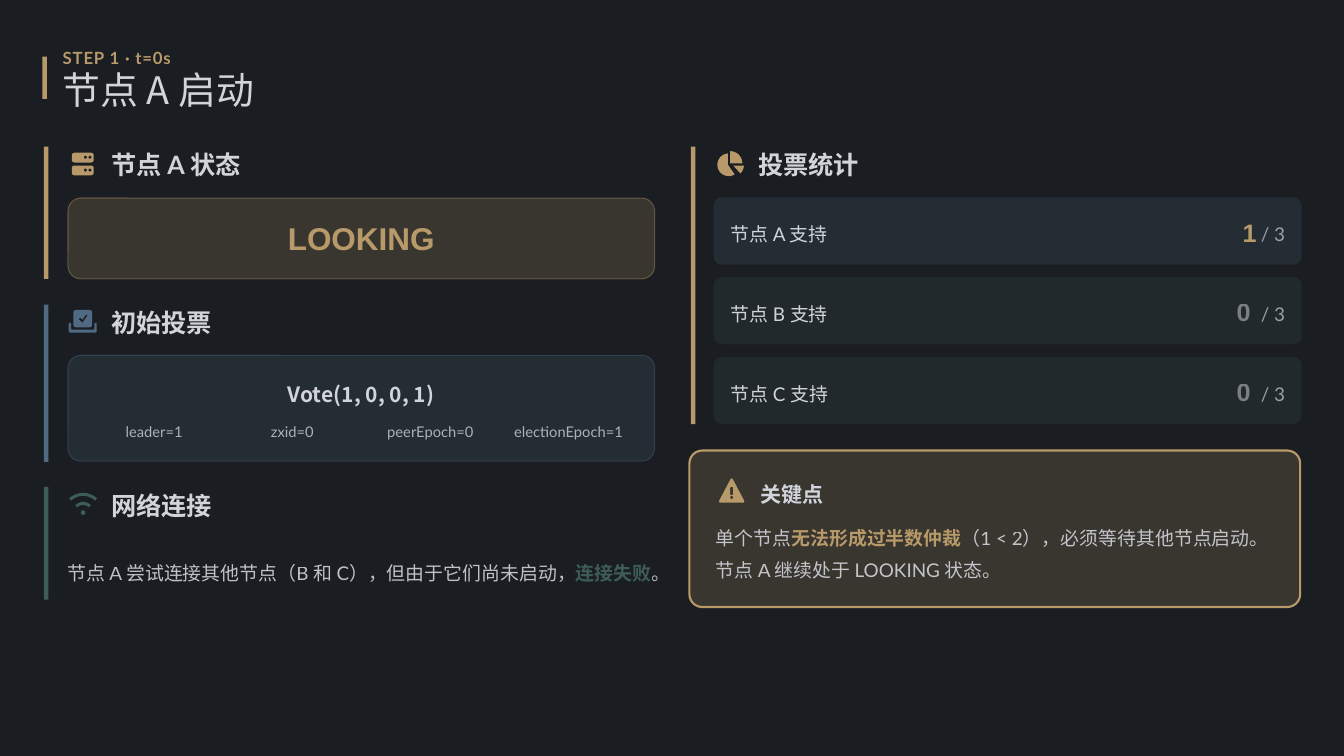
"""Build the slide on the start-up of node A in a leader election."""
from dataclasses import dataclass
from math import cos, dist, radians, sin

from lxml.etree import SubElement
from pptx import Presentation
from pptx.dml.color import RGBColor
from pptx.enum.shapes import MSO_SHAPE as Shape
from pptx.enum.text import MSO_ANCHOR as Anchor, PP_ALIGN as Align
from pptx.oxml.ns import qn
from pptx.slide import Slide
from pptx.util import Inches, Pt

DARK = RGBColor(0x1A, 0x1D, 0x21)
LIGHT = RGBColor(0xD1, 0xD5, 0xDB)
GOLD = RGBColor(0xB8, 0x9A, 0x6A)
BLUE = RGBColor(0x4F, 0x6A, 0x82)
GREEN = RGBColor(0x3E, 0x5C, 0x5A)


def fade(properties, percent):
    if percent < 100:
        color = properties.find(qn("a:solidFill"))[0]
        SubElement(color, qn("a:alpha")).set("val", str(percent * 1000))


def arc(x, y, radius, start, end, steps=24):
    angles = [radians(start + (end - start) * i / steps) for i in range(steps + 1)]
    return [(x + radius * cos(a), y + radius * sin(a)) for a in angles]


def circle(x, y, radius):
    return arc(x, y, radius, 0, 360)


def band(x, y, outer, inner, start, end):
    return arc(x, y, outer, start, end) + arc(x, y, inner, end, start)


def toward(origin, target, length):
    share = min(0.5, length / dist(origin, target))
    return [o + share * (t - o) for o, t in zip(origin, target)]


def rounded(corners, radius):
    outline = []
    for i, corner in enumerate(corners):
        before = toward(corner, corners[i - 1], radius)
        after = toward(corner, corners[(i + 1) % len(corners)], radius)
        for t in (0, 0.25, 0.5, 0.75, 1):
            outline.append(tuple((1 - t) ** 2 * b + 2 * t * (1 - t) * c + t ** 2 * a
                                 for b, c, a in zip(before, corner, after)))
    return outline


def box(left, top, width, height, radius):
    right, bottom = left + width, top + height
    return rounded([(left, top), (right, top), (right, bottom), (left, bottom)], radius)


SERVER = [outline for top in (2.02, 2.19) for outline in (
    box(0.95, top, 0.29, 0.13, 0.04),
    circle(1.13, top + 0.06, 0.02), circle(1.19, top + 0.06, 0.02))]
BALLOT = [
    box(0.97, 4.1, 0.25, 0.23, 0.04),
    [(1.04, 4.22), (1.06, 4.2), (1.09, 4.23), (1.14, 4.16), (1.16, 4.17), (1.09, 4.27)],
    rounded([(0.91, 4.27), (0.94, 4.27), (0.94, 4.36), (1.25, 4.36),
             (1.25, 4.27), (1.28, 4.27), (1.28, 4.4), (0.91, 4.4)], 0.02)]
WIFI = [band(1.1, 6.79, 0.27, 0.23, 227, 313), band(1.1, 6.79, 0.15, 0.11, 226, 314),
        circle(1.1, 6.78, 0.03)]
PIE = [[(9.66, 2.16)] + arc(9.66, 2.16, 0.16, -90, 0),
       arc(9.64, 2.18, 0.15, 58, 263) + [(9.63, 2.03), (9.63, 2.18)],
       [(9.7, 2.19)] + arc(9.7, 2.19, 0.14, 0, 48)]
WARNING = [rounded([(9.68, 6.31), (9.86, 6.65), (9.5, 6.65)], 0.04),
           box(9.66, 6.44, 0.04, 0.11, 0.02), circle(9.68, 6.58, 0.02)]


@dataclass
class Deck:
    slide: Slide
    latin: str = "Lato"
    east_asian: str = "Noto Sans CJK SC"
    numeric: str = "Arial"

    def paint(self, shape, color, opacity=100):
        shape.shadow.inherit = False
        shape.fill.solid()
        shape.fill.fore_color.rgb = color
        fade(shape._element.spPr, opacity)
        shape.line.fill.background()

    def bar(self, left, top, height, color):
        strip = self.slide.shapes.add_shape(
            Shape.RECTANGLE, Inches(left), Inches(top), Inches(0.06), Inches(height))
        self.paint(strip, color)

    def card(self, left, top, width, height, color, radius=0.17, border=0, border_opacity=100):
        panel = self.slide.shapes.add_shape(
            Shape.ROUNDED_RECTANGLE, Inches(left), Inches(top), Inches(width), Inches(height))
        panel.adjustments[0] = radius / height
        self.paint(panel, color, 20)
        if border:
            panel.line.color.rgb = color
            panel.line.width = Pt(border)
            fade(panel.line._ln, border_opacity)

    def icon(self, outlines, color):
        builder = None
        for outline in outlines:
            start, *rest = [(Inches(x), Inches(y)) for x, y in outline]
            if builder is None:
                builder = self.slide.shapes.build_freeform(*start, scale=1)
            else:
                builder.move_to(*start)
            builder.add_line_segments(rest, close=True)
        self.paint(builder.convert_to_shape(), color)

    def text(self, left, top, width, height, content, size, color=LIGHT, opacity=100, bold=False,
             font=None, spacing=1.0, align=Align.LEFT, tracking=0, accent=None):
        frame = self.slide.shapes.add_textbox(
            Inches(left), Inches(top), Inches(width), Inches(height)).text_frame
        frame.word_wrap = True
        frame.vertical_anchor = Anchor.MIDDLE
        frame.margin_left = frame.margin_right = frame.margin_top = frame.margin_bottom = 0
        paragraph = frame.paragraphs[0]
        paragraph.alignment = align
        paragraph.line_spacing = spacing
        style = paragraph.font
        style.name, style.size, style.bold = font or self.latin, Pt(size), bold
        style.color.rgb = color
        fade(style._rPr, opacity)
        SubElement(style._rPr, qn("a:ea")).set("typeface", self.east_asian)
        if tracking:
            style._rPr.set("spc", str(int(tracking * 100)))
        for i, part in enumerate([content] if isinstance(content, str) else content):
            run = paragraph.add_run()
            run.text = part
            if i == 1:
                run.font.bold = True
                run.font.color.rgb = accent

    def section(self, left, top, height, color, title, outlines):
        self.bar(left, top, height, color)
        self.icon(outlines, color)
        self.text(left + 0.89, top, 1.92, 0.44, title, 24, bold=True, spacing=1.1)

    def tally(self, top, node, votes, card_color, vote_left, vote_color, vote_opacity):
        self.card(9.44, top, 7.78, 0.89, card_color, radius=0.11)
        self.text(9.67, top + 0.25, 1.44, 0.39, f"节点 {node} 支持", 18, spacing=1.3)
        self.text(vote_left, top + 0.22, 0.38, 0.44, votes, 24, vote_color, vote_opacity,
                  bold=True, font=self.numeric, spacing=1.1)
        self.text(16.68, top + 0.25, 0.44, 0.39, "/ 3", 18, opacity=70, spacing=1.3)


def main():
    presentation = Presentation()
    presentation.slide_width, presentation.slide_height = Inches(17.78), Inches(10)
    deck = Deck(presentation.slides.add_slide(presentation.slide_layouts[6]))
    backdrop = deck.slide.background.fill
    backdrop.solid()
    backdrop.fore_color.rgb = DARK

    deck.bar(0.56, 0.75, 0.56, GOLD)
    deck.text(0.83, 0.56, 2.74, 0.33, "STEP 1 · t=0s", 16, GOLD, bold=True, spacing=1.3, tracking=0.8)
    deck.text(0.83, 0.94, 2.88, 0.56, "节点 A 启动", 36, font=deck.east_asian, spacing=0.9)

    deck.section(0.58, 1.94, 1.75, GOLD, "节点 A 状态", SERVER)
    deck.card(0.9, 2.62, 7.76, 1.07, GOLD, border=1, border_opacity=40)
    deck.text(1.08, 2.9, 7.4, 0.5, "LOOKING", 30, GOLD, bold=True, font=deck.numeric, align=Align.CENTER)

    deck.section(0.58, 4.03, 2.08, BLUE, "初始投票", BALLOT)
    deck.card(0.9, 4.7, 7.76, 1.4, BLUE, border=1, border_opacity=40)
    deck.text(1.11, 4.99, 7.33, 0.39, "Vote(1, 0, 0, 1)", 20, bold=True, font=deck.east_asian,
              spacing=1.2, align=Align.CENTER)
    for i, field in enumerate(("leader=1", "zxid=0", "peerEpoch=0", "electionEpoch=1")):
        deck.text(1.13 + i * 1.827, 5.54, 1.82, 0.28, field, 14, opacity=80, spacing=1.2,
                  align=Align.CENTER)

    deck.section(0.58, 6.44, 1.49, GREEN, "网络连接", WIFI)
    connection = ("节点 A 尝试连接其他节点（B 和 C），但由于它们尚未启动，", "连接失败", "。")
    deck.text(0.89, 7.11, 7.9, 0.82, connection, 18, opacity=90, spacing=1.4, accent=GREEN)

    deck.section(9.14, 1.94, 3.67, GOLD, "投票统计", PIE)
    tallies = (("A", "1", BLUE, 16.44, GOLD, 100),
               ("B", "0", GREEN, 16.36, LIGHT, 50),
               ("C", "0", GREEN, 16.36, LIGHT, 50))
    for i, tally in enumerate(tallies):
        deck.tally(2.61 + i * 1.055, *tally)

    deck.card(9.12, 5.96, 8.08, 2.07, GOLD, border=2)
    deck.icon(WARNING, GOLD)
    deck.text(10.06, 6.31, 0.97, 0.39, "关键点", 20, bold=True, spacing=1.2)
    key_point = ("单个节点", "无法形成过半数仲裁",
                 "（1 < 2），必须等待其他节点启动。节点 A 继续处于 LOOKING 状态。")
    deck.text(9.47, 6.86, 7.51, 0.82, key_point, 18, opacity=90, spacing=1.4, accent=GOLD)

    presentation.save("out.pptx")


if __name__ == "__main__":
    main()
